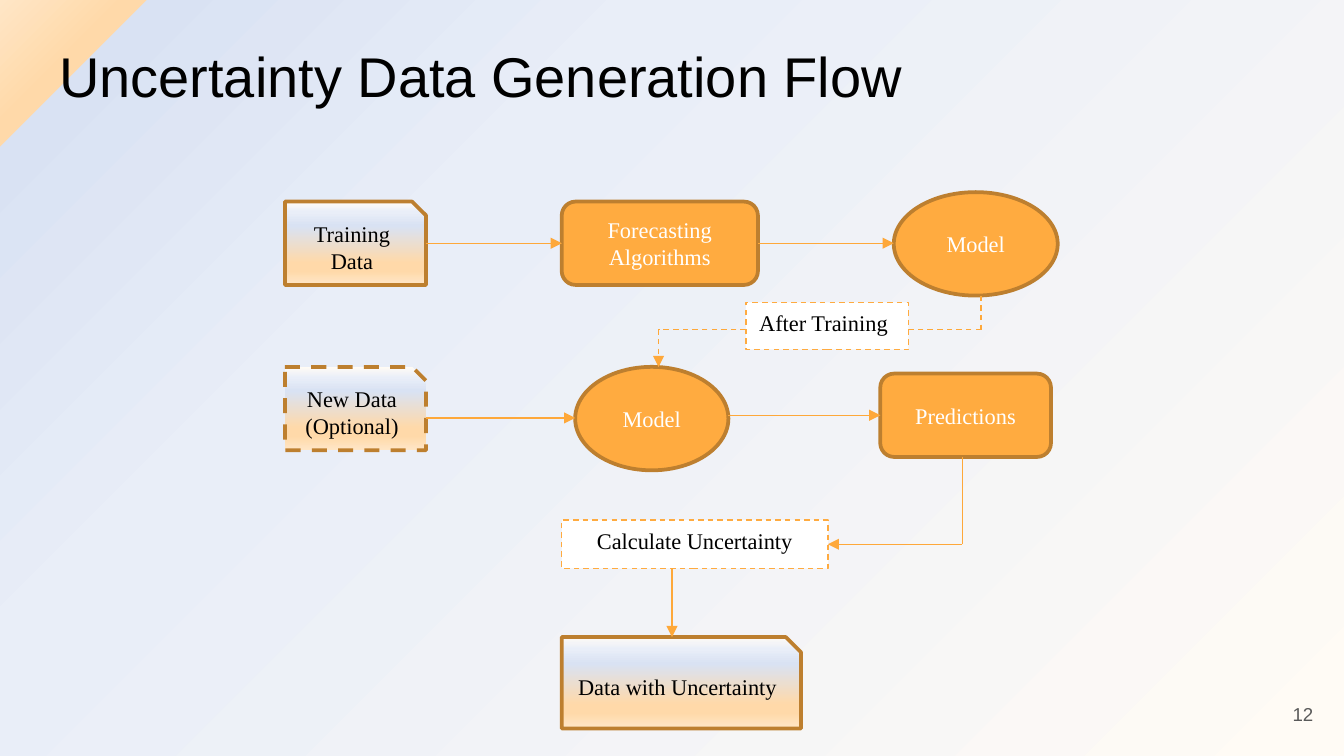
from lxml import etree
from pptx import Presentation
from pptx.dml.color import RGBColor
from pptx.enum.dml import MSO_LINE
from pptx.enum.shapes import MSO_CONNECTOR, MSO_SHAPE as SHAPE
from pptx.enum.text import MSO_ANCHOR as ANCHOR, MSO_AUTO_SIZE, PP_ALIGN as ALIGN
from pptx.oxml import parse_xml
from pptx.oxml.ns import nsdecls, qn
from pptx.util import Inches, Pt

COLORS = {
    "black": "000000", "white": "FFFFFF", "gray": "595959",
    "orange": "FFAB40", "brown": "BD7F2F", "arrow": "FEA83A",
    "cream": "FFFBF5", "mist": "E9EEF8", "blue": "D9E2F3",
    "peach": "FFD9A9", "pale": "FFE6C6",
}
RGB = {name: RGBColor.from_string(value) for name, value in COLORS.items()}
TINTS = ["cream", "mist", "blue", "peach", "peach", "pale"]
CORNER = '<a:path path="circle"><a:fillToRect l="100000" t="100000"/></a:path>'
DOWN = '<a:lin ang="5400000" scaled="0"/>'


def write(frame, text, font="Times New Roman", size=12, color="black",
          align=ALIGN.CENTER, anchor=ANCHOR.MIDDLE, inset=None):
    frame.word_wrap = True
    frame.auto_size = MSO_AUTO_SIZE.NONE
    frame.vertical_anchor = anchor
    if inset is not None:
        frame.margin_left = frame.margin_right = Inches(inset)
        frame.margin_top = frame.margin_bottom = Inches(inset)
    para = frame.paragraphs[0]
    para.text = text
    para.alignment = align
    for span in para.runs:
        span.font.name = font
        span.font.size = Pt(size)
        span.font.color.rgb = RGB[color]
    for line_break in para._p.findall(qn("a:br")):
        etree.SubElement(line_break, qn("a:rPr"), sz=str(size * 100))


def paint_gradient(fill, element, positions, direction):
    fill.gradient()
    stops = "".join(
        f'<a:gs pos="{position * 1000}"><a:srgbClr val="{COLORS[tint]}"/></a:gs>'
        for position, tint in zip(positions, TINTS))
    gradient = element.find(".//" + qn("a:gradFill"))
    gradient.clear()
    gradient.append(parse_xml(f'<a:gsLst {nsdecls("a")}>{stops}</a:gsLst>'))
    gradient.append(parse_xml(direction.replace(" ", f' {nsdecls("a")} ', 1)))


deck = Presentation()
deck.slide_width = Inches(10)
deck.slide_height = Inches(10 * 9 / 16)
page = deck.slides.add_slide(deck.slide_layouts[5])
paint_gradient(page.background.fill, page._element, [0, 68, 93, 93, 94, 100], CORNER)

title = page.shapes.title
title.left, title.top = Inches(0.34), Inches(0.21)
title.width, title.height = Inches(9.32), Inches(0.63)
write(title.text_frame, "Uncertainty Data Generation Flow", font="Arial", size=30,
      align=ALIGN.LEFT, anchor=ANCHOR.TOP, inset=0.1)

number = page.shapes.add_textbox(Inches(9.27), Inches(5.1), Inches(0.6), Inches(0.43))
write(number.text_frame, "12", font="Arial", size=10, color="gray",
      align=ALIGN.RIGHT, inset=0.1)

STYLES = {
    "data": (SHAPE.SNIP_1_RECTANGLE, None, "brown", 2, False),
    "optional": (SHAPE.SNIP_1_RECTANGLE, None, "brown", 2, True),
    "step": (SHAPE.ROUNDED_RECTANGLE, "orange", "brown", 2, False),
    "model": (SHAPE.OVAL, "orange", "brown", 2, False),
    "note": (SHAPE.RECTANGLE, "white", "orange", 0.75, True),
}
NODES = [
    ("training", "data", "Training Data", 2.12, 1.5, 1.05, 0.62),
    ("algorithms", "step", "Forecasting Algorithms", 4.18, 1.5, 1.46, 0.62),
    ("trained", "model", "Model", 6.65, 1.43, 1.22, 0.77),
    ("new data", "optional", "New Data\v(Optional)", 2.12, 2.73, 1.05, 0.62),
    ("reused", "model", "Model", 4.28, 2.73, 1.14, 0.77),
    ("predictions", "step", "Predictions", 6.55, 2.78, 1.27, 0.62),
    ("after", "note", "After Training", 5.55, 2.25, 1.21, 0.35),
    ("calculate", "note", "Calculate Uncertainty", 4.18, 3.87, 1.98, 0.36),
    ("result", "data", "Data with Uncertainty", 4.18, 4.74, 1.78, 0.68),
]
nodes = {}
for name, style, text, left, top, width, height in NODES:
    kind, fill, edge, weight, dashed = STYLES[style]
    box = page.shapes.add_shape(kind, Inches(left), Inches(top), Inches(width), Inches(height))
    box.shadow.inherit = False
    if fill:
        box.fill.solid()
        box.fill.fore_color.rgb = RGB[fill]
    else:
        paint_gradient(box.fill, box._element, [0, 13, 29, 74, 83, 100], DOWN)
    box.line.color.rgb = RGB[edge]
    box.line.width = Pt(weight)
    if dashed:
        box.line.dash_style = MSO_LINE.DASH
    write(box.text_frame, text, color="white" if fill == "orange" else "black",
          align=ALIGN.LEFT if name == "after" else ALIGN.CENTER,
          anchor=ANCHOR.TOP if style == "note" else ANCHOR.MIDDLE)
    nodes[name] = box

LINKS = [
    (3.17, 1.81, 4.18, 1.81, "arrow", ("training", 3), ("algorithms", 1)),
    (5.64, 1.81, 6.65, 1.81, "arrow", ("algorithms", 3), None),
    (7.3, 2.2, 7.3, 2.48, "dash", None, None),
    (7.3, 2.45, 6.76, 2.45, "dash", None, None),
    (5.55, 2.45, 4.9, 2.45, "dash", None, None),
    (4.9, 2.45, 4.9, 2.73, "dash arrow", None, None),
    (3.17, 3.11, 4.28, 3.11, "arrow", None, None),
    (5.42, 3.09, 6.55, 3.09, "arrow", None, ("predictions", 1)),
    (7.16, 3.4, 7.16, 4.05, "plain", None, None),
    (7.16, 4.05, 6.16, 4.05, "arrow", None, ("calculate", 3)),
    (5, 4.23, 5, 4.74, "arrow", None, None),
]
for x1, y1, x2, y2, style, source, target in LINKS:
    link = page.shapes.add_connector(
        MSO_CONNECTOR.STRAIGHT, Inches(x1), Inches(y1), Inches(x2), Inches(y2))
    if source:
        link.begin_connect(nodes[source[0]], source[1])
    if target:
        link.end_connect(nodes[target[0]], target[1])
    link.line.color.rgb = RGB["arrow"]
    link.line.width = Pt(0.75)
    if "dash" in style:
        link.line.dash_style = MSO_LINE.DASH
    if "arrow" in style:
        etree.SubElement(link.line._get_or_add_ln(), qn("a:tailEnd"), type="triangle")
    etree.SubElement(link._element.spPr, qn("a:effectLst"))

deck.save("out.pptx")
